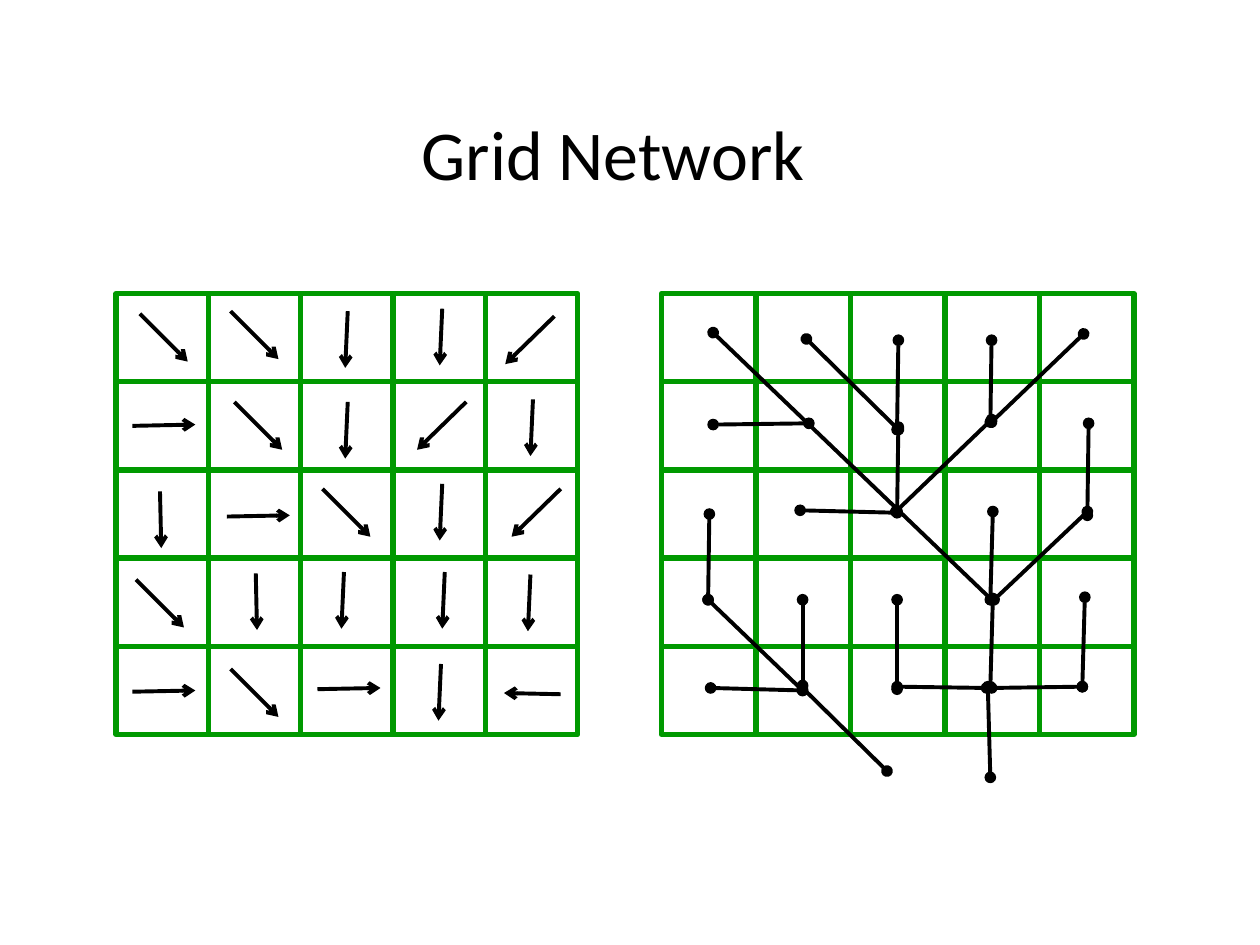
"""Build a slide with a grid of flow arrows beside the network they form."""
from lxml import etree
from pptx import Presentation
from pptx.dml.color import RGBColor
from pptx.enum import shapes, text
from pptx.oxml import ns
from pptx.util import Inches, Pt

GREEN = RGBColor(0x00, 0x99, 0x00)
BLACK = RGBColor(0x00, 0x00, 0x00)

links = [
    (5.66, 2.64, 7.87, 4.76), (6.4, 2.69, 7.13, 3.41),
    (5.63, 4.08, 5.62, 4.76), (7.84, 5.45, 7.86, 6.17),
    (5.62, 4.76, 6.37, 5.48), (5.64, 5.46, 6.37, 5.48),
    (7.12, 5.45, 7.83, 5.46), (6.37, 5.46, 7.04, 6.12),
    (6.37, 4.76, 6.37, 5.44), (6.35, 4.05, 7.12, 4.07),
    (5.66, 3.37, 6.42, 3.36), (7.13, 2.7, 7.12, 3.41),
    (7.13, 3.39, 7.12, 4.06), (8.61, 4.74, 8.59, 5.45),
    (7.12, 4.76, 7.12, 5.47), (7.87, 2.7, 7.86, 3.35),
    (7.88, 4.06, 7.86, 4.76), (8.59, 5.45, 7.87, 5.46),
    (8.64, 3.36, 8.63, 4.09), (7.87, 3.33, 7.11, 4.06),
    (8.6, 2.65, 7.87, 3.35), (8.63, 4.06, 7.89, 4.76),
    (7.88, 4.75, 7.86, 5.45),
]
flows = {
    (0.38, 0.38): [(1.11, 2.49), (1.83, 2.47), (2.56, 3.88), (1.08, 4.6),
                   (1.86, 3.19), (1.83, 5.31)],
    (0.5, -0.01): [(1.05, 5.49), (2.52, 5.47), (1.8, 4.1), (1.05, 3.38)],
    (-0.02, 0.45): [(2.76, 2.47), (2.76, 3.19), (4.21, 4.56), (3.53, 4.54),
                    (2.73, 4.54), (3.51, 2.45), (3.51, 3.84), (4.23, 3.17),
                    (3.5, 5.27)],
    (-0.45, -0.01): [(4.45, 5.51)],
    (-0.39, 0.38): [(3.7, 3.19), (4.4, 2.51), (4.45, 3.88)],
    (0.01, 0.45): [(1.27, 3.9), (2.03, 4.55)],
}
arrows = [(x, y, x + dx, y + dy)
          for (dx, dy), starts in flows.items() for x, y in starts]


def write(slide, words, left, top, width, height, size, font, color):
    box = slide.shapes.add_textbox(
        Inches(left), Inches(top), Inches(width), Inches(height))
    frame = box.text_frame
    frame.word_wrap = False
    frame.auto_size = text.MSO_AUTO_SIZE.SHAPE_TO_FIT_TEXT
    run = frame.paragraphs[0].add_run()
    run.text = words
    run.font.size = Pt(size)
    run.font.name = font
    run.font.color.rgb = color


deck = Presentation()
deck.slide_width, deck.slide_height = Inches(10), Inches(7.5)
slide = deck.slides.add_slide(deck.slide_layouts[6])

grids = [
    (5.25, 0.75, links, {"headEnd": "oval", "tailEnd": "oval"}),
    (0.92, 0.733, arrows, {"tailEnd": "arrow"}),
]
for left, width, lines, ends in grids:
    group = slide.shapes.add_group_shape()
    for row in range(5):
        for col in range(5):
            cell = group.shapes.add_shape(
                shapes.MSO_SHAPE.RECTANGLE,
                Inches(left + col * width), Inches(2.33 + row * 0.7),
                Inches(width), Inches(0.7))
            cell.shadow.inherit = False
            cell.fill.background()
            cell.line.color.rgb = GREEN
            cell.line.width = Pt(3)
    for points in lines:
        line = group.shapes.add_connector(
            shapes.MSO_CONNECTOR.STRAIGHT, *map(Inches, points))
        line.line.color.rgb = BLACK
        line.line.width = Pt(2.25)
        props = line._element.spPr
        for end, kind in ends.items():
            etree.SubElement(props.find(ns.qn("a:ln")), ns.qn("a:" + end), type=kind)
        etree.SubElement(props, ns.qn("a:effectLst"))

write(slide, "Grid Network", left=3.25, top=0.83, width=3.3, height=0.77,
      size=40, font="Calibri", color=BLACK)

deck.save("out.pptx")
